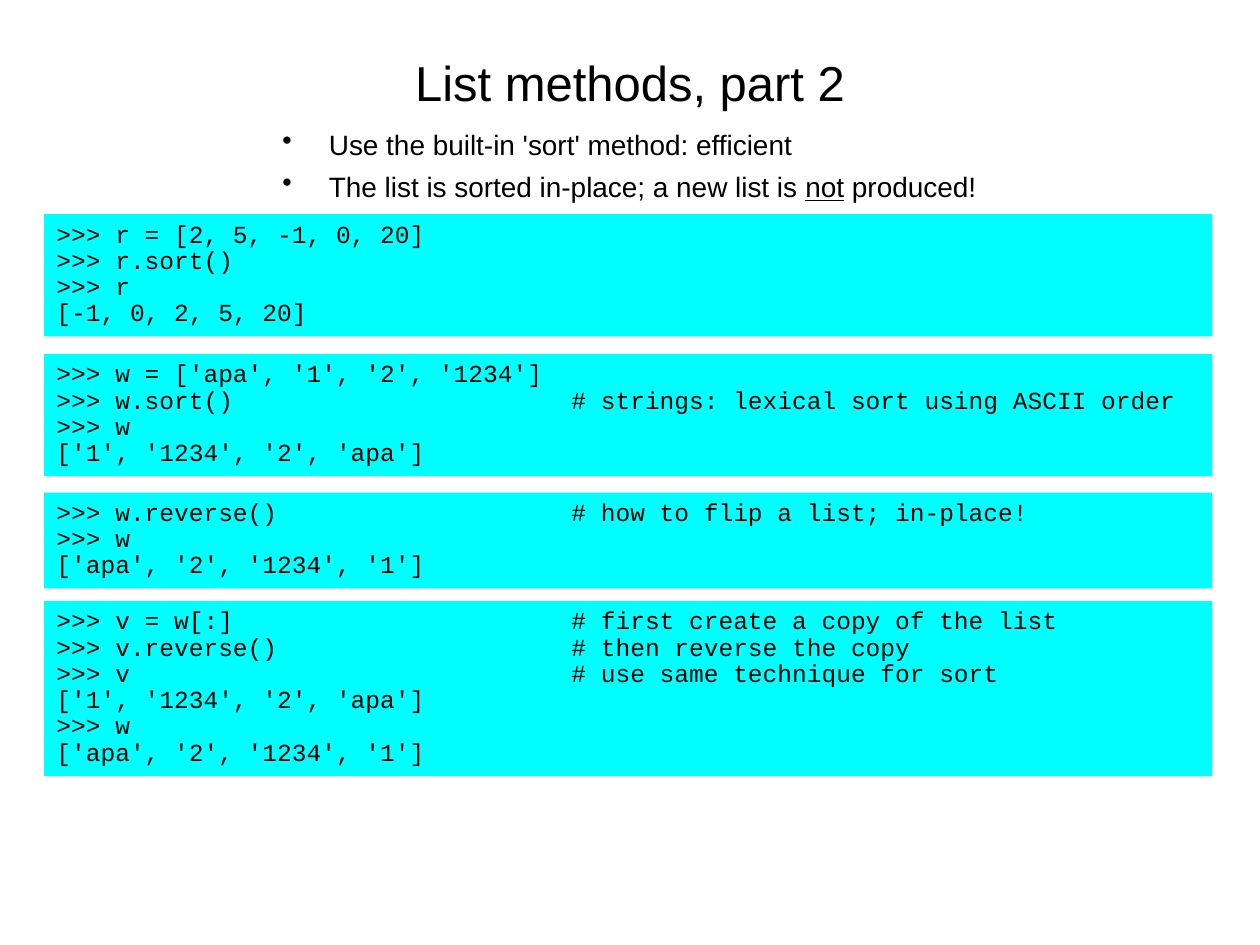
from dataclasses import dataclass

from lxml import etree
from pptx import Presentation
from pptx import util as u
from pptx.dml.color import RGBColor
from pptx.enum import shapes, text
from pptx.oxml.ns import qn

TITLE = "List methods, part 2"
BULLETS = [
    [("Use the built-in 'sort' method: efficient", False)],
    [("The list is sorted in-place; a new list is ", False), ("not", True), (" produced!", False)],
]
CODE_BLOCKS = [
    (1.70, [
        (">>> r = [2, 5, -1, 0, 20]", ""),
        (">>> r.sort()", ""),
        (">>> r", ""),
        ("[-1, 0, 2, 5, 20]", ""),
    ]),
    (2.81, [
        (">>> w = ['apa', '1', '2', '1234']", ""),
        (">>> w.sort()", "# strings: lexical sort using ASCII order"),
        (">>> w", ""),
        ("['1', '1234', '2', 'apa']", ""),
    ]),
    (3.91, [
        (">>> w.reverse()", "# how to flip a list; in-place!"),
        (">>> w", ""),
        ("['apa', '2', '1234', '1']", ""),
    ]),
    (4.77, [
        (">>> v = w[:]", "# first create a copy of the list"),
        (">>> v.reverse()", "# then reverse the copy"),
        (">>> v", "# use same technique for sort"),
        ("['1', '1234', '2', 'apa']", ""),
        (">>> w", ""),
        ("['apa', '2', '1234', '1']", ""),
    ]),
]
COMMENT_COLUMN = 35
BLOCK_LEFT, BLOCK_WIDTH = 0.35, 9.27
BLOCK_PADDING, LINE_STEP = 0.13, 0.21


@dataclass(frozen=True)
class Theme:
    ink: RGBColor = RGBColor(0x00, 0x00, 0x00)
    code_fill: RGBColor = RGBColor(0x00, 0xFF, 0xFF)
    body_font: str = "Arial"
    code_font: str = "Courier New"
    title_size: float = 28
    body_size: float = 16
    code_size: float = 14


THEME = Theme()


def add_bullet(paragraph, indent):
    properties = paragraph._p.get_or_add_pPr()
    properties.set("marL", str(u.Inches(indent)))
    properties.set("indent", str(-u.Inches(indent)))
    etree.SubElement(properties, qn("a:buChar")).set("char", "•")


def write_text(shape, paragraphs, *, font, size, spacing, before=0, align=text.PP_ALIGN.LEFT,
               anchor=text.MSO_ANCHOR.MIDDLE, insets=(0, 0, 0, 0), indent=0):
    frame = shape.text_frame
    frame.word_wrap = True
    frame.vertical_anchor = anchor
    frame.margin_left, frame.margin_top, frame.margin_right, frame.margin_bottom = map(u.Inches, insets)
    for index, runs in enumerate(paragraphs):
        paragraph = frame.add_paragraph() if index else frame.paragraphs[0]
        if indent:
            add_bullet(paragraph, indent)
        paragraph.alignment = align
        paragraph.line_spacing = spacing
        if index:
            paragraph.space_before = u.Pt(before)
        for content, underlined in runs:
            run = paragraph.add_run()
            run.text = content
            run.font.name = font
            run.font.size = u.Pt(size)
            run.font.color.rgb = THEME.ink
            if underlined:
                run.font.underline = True


def add_code_block(slide, top, lines):
    height = BLOCK_PADDING + LINE_STEP * len(lines)
    shape = slide.shapes.add_shape(
        shapes.MSO_SHAPE.ROUNDED_RECTANGLE,
        *map(u.Inches, (BLOCK_LEFT, top, BLOCK_WIDTH, height)))
    shape.adjustments[0] = 0
    shape.shadow.inherit = False
    shape.fill.solid()
    shape.fill.fore_color.rgb = THEME.code_fill
    shape.line.fill.background()
    rows = [code.ljust(COMMENT_COLUMN) + comment if comment else code for code, comment in lines]
    write_text(shape, [[(row, False)] for row in rows], font=THEME.code_font, size=THEME.code_size,
               spacing=0.37, before=8.8, anchor=text.MSO_ANCHOR.TOP, insets=(0.1, 0.16, 0.1, 0.08))


def main():
    presentation = Presentation()
    presentation.slide_width, presentation.slide_height = u.Inches(10), u.Inches(7.5)
    slide = presentation.slides.add_slide(presentation.slide_layouts[6])

    title = slide.shapes.add_textbox(*map(u.Inches, (0.75, 0.36, 8.5, 0.56)))
    write_text(title, [[(TITLE, False)]], font=THEME.body_font, size=THEME.title_size,
               spacing=1.04, align=text.PP_ALIGN.CENTER)

    body = slide.shapes.add_textbox(*map(u.Inches, (2.24, 0.99, 5.91, 0.63)))
    write_text(body, BULLETS, font=THEME.body_font, size=THEME.body_size,
               spacing=1.04, before=4, indent=0.37)

    for top, lines in CODE_BLOCKS:
        add_code_block(slide, top, lines)

    presentation.save("out.pptx")


if __name__ == "__main__":
    main()
